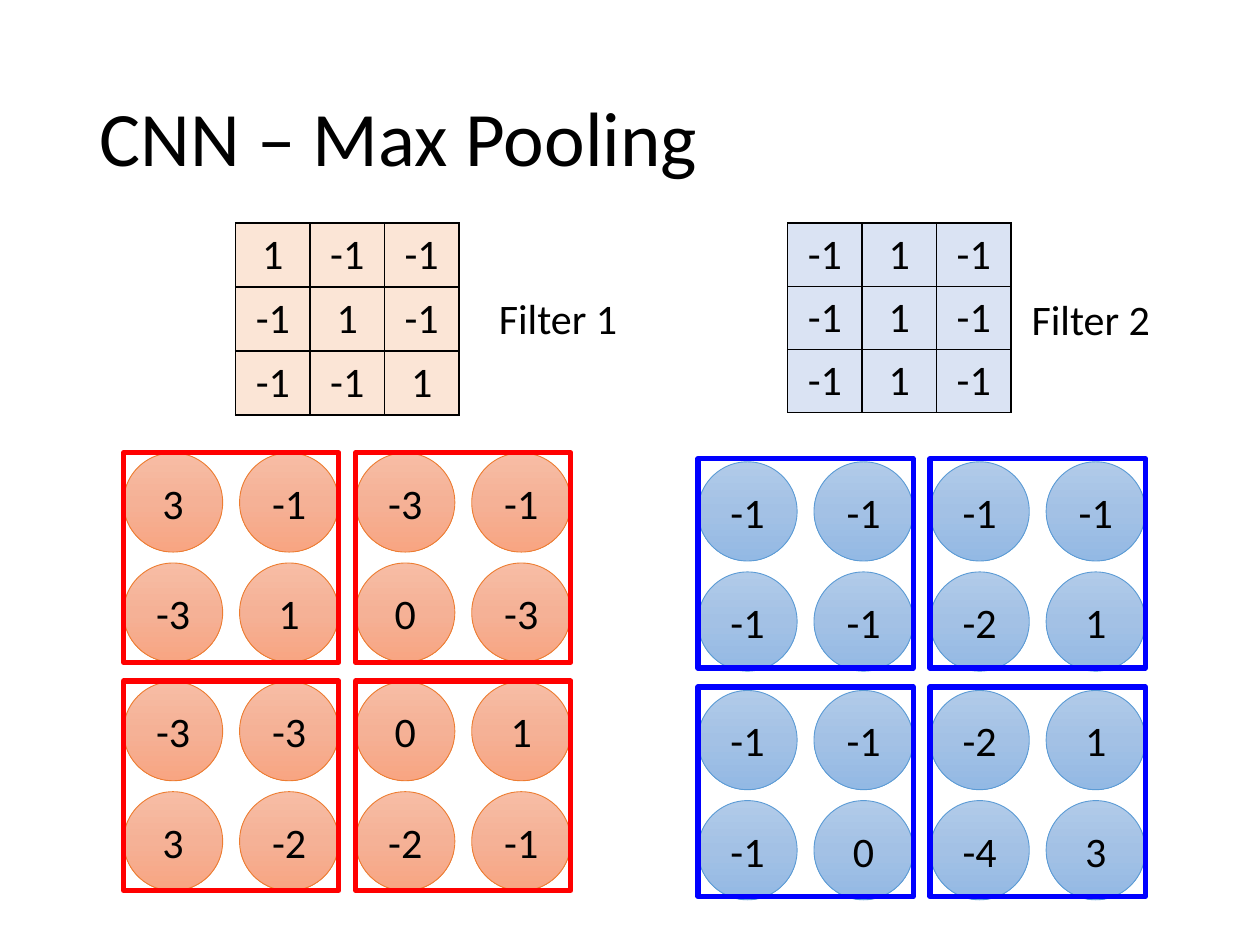
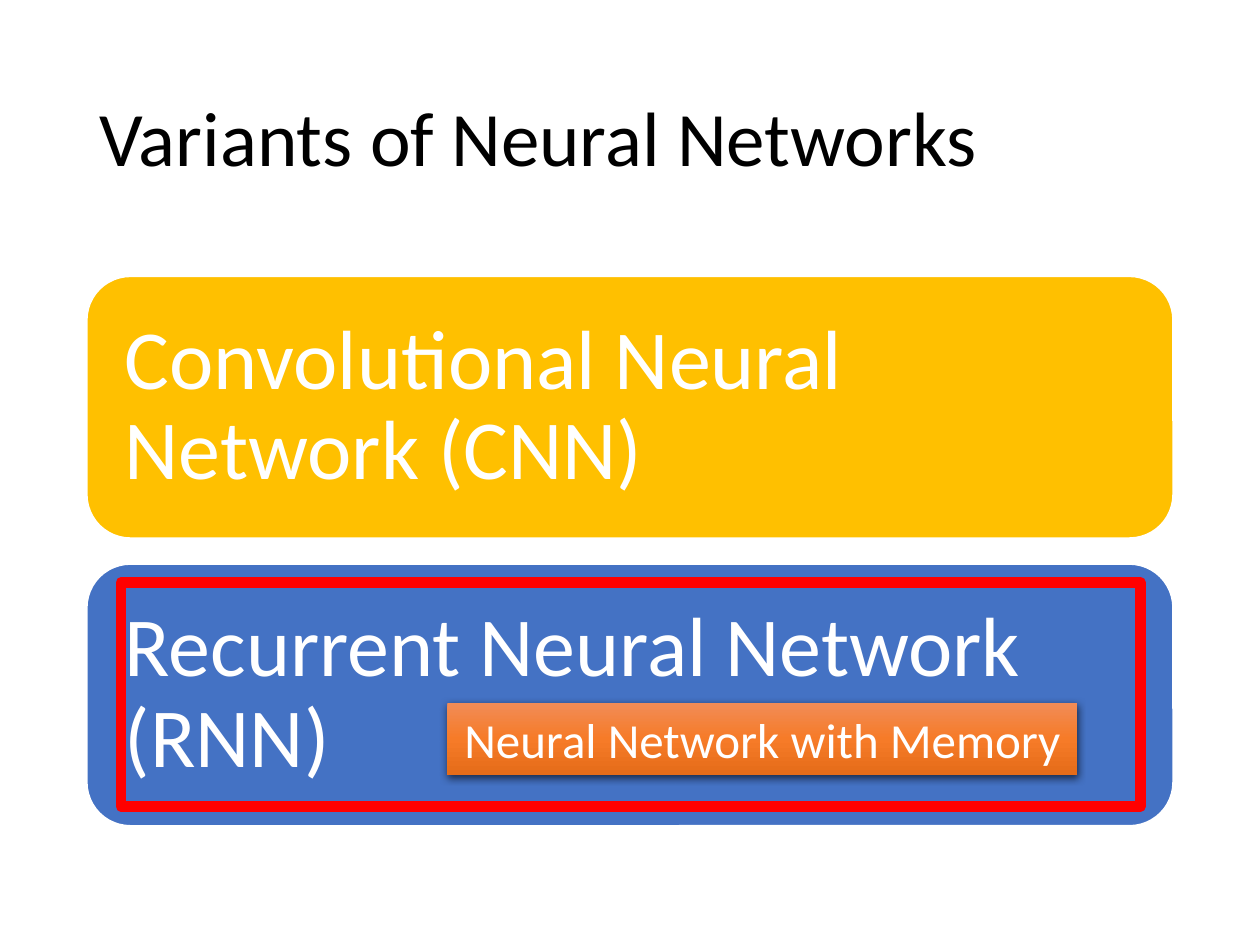
"""Build two slides: max pooling over two filters, and neural network variants."""
import pptx
import pptx.dml.color
import pptx.enum.shapes
import pptx.enum.text
import pptx.oxml.ns
import pptx.util
from lxml import etree

Cm, Pt = pptx.util.Cm, pptx.util.Pt
rgb = pptx.dml.color.RGBColor.from_string
qn = pptx.oxml.ns.qn
SHAPE = pptx.enum.shapes.MSO_SHAPE
ALIGN = pptx.enum.text.PP_ALIGN
MIDDLE = pptx.enum.text.MSO_ANCHOR.MIDDLE

BLACK, WHITE, RED, BLUE = "000000", "FFFFFF", "FF0000", "0000FF"
TITLE_BOX = [Cm(v) for v in (1.75, 1.02, 21.9, 3.68)]


def write(tf, text, size, color=BLACK, **paragraph):
    """Write one run of text and apply the paragraph format values."""
    p = tf.paragraphs[0]
    for name, value in paragraph.items():
        setattr(p, name, value)
    r = p.add_run()
    r.text = text
    for name, value in {"name": "Calibri", "size": Pt(size)}.items():
        setattr(r.font, name, value)
    r.font.color.rgb = rgb(color)


def add_box(s, kind, box, fill=None, line=None, width=1):
    """Add a shape; fill is None, a hex string or three gradient colours."""
    sp = s.shapes.add_shape(kind, *[Cm(v) for v in box])
    sp.shadow.inherit = False
    if fill is None:
        sp.fill.background()
    elif isinstance(fill, str):
        sp.fill.solid()
        sp.fill.fore_color.rgb = rgb(fill)
    else:
        sp.fill.gradient()
        sp.fill.gradient_angle = 270
        stops = sp.element.spPr.find(".//" + qn("a:gsLst"))
        stops[:] = []
        for i, color in enumerate(fill):
            stop = etree.SubElement(stops, qn("a:gs"), pos=str(i * 50000))
            etree.SubElement(stop, qn("a:srgbClr"), val=color)
    if line:
        sp.line.color.rgb = rgb(line)
        sp.line.width = Pt(width)
    else:
        sp.line.fill.background()
    return sp


prs = pptx.Presentation()
prs.slide_width, prs.slide_height = Cm(25.4), Cm(19.05)

slides = []
for title in ("CNN – Max Pooling", "Variants of Neural Networks"):
    s = prs.slides.add_slide(prs.slide_layouts[5])
    sp = s.shapes.title
    for name, value in zip(("left", "top", "width", "height"), TITLE_BOX):
        setattr(sp, name, value)
    sp.text_frame.vertical_anchor = MIDDLE
    write(sp.text_frame, title, 44, alignment=ALIGN.LEFT, line_spacing=0.9)
    slides.append(s)
pooling, variants = slides

filters = [
    {"label": "Filter 1", "label_at": (9.25, 5.77), "table_x": 4.75, "cell": "FBE5D6",
     "weights": [[1, -1, -1], [-1, 1, -1], [-1, -1, 1]],
     "map": [[3, -1, -3, -1], [-3, 1, 0, -3], [-3, -3, 0, 1], [3, -2, -2, -1]],
     "x": 2.49, "map_y": 9.13, "frame_y": 9.13, "frame": RED,
     "gradient": ["F7BDA5", "F5B196", "F8A582"], "outline": "ED7D31"},
    {"label": "Filter 2", "label_at": (19.99, 5.8), "table_x": 15.88, "cell": "DAE3F3",
     "weights": [[-1, 1, -1]] * 3,
     "map": [[-1, -1, -1, -1], [-1, -1, -2, 1], [-1, -1, -2, 1], [-1, 0, -4, 3]],
     "x": 14.07, "map_y": 9.31, "frame_y": 9.25, "frame": BLUE,
     "gradient": ["B1CBE9", "A3C1E5", "93B9E4"], "outline": "5B9BD5"},
]
for f in filters:
    table = pooling.shapes.add_table(
        3, 3, Cm(f["table_x"]), Cm(4.5), Cm(4.5), Cm(3.81)).table
    table.first_row = table.horz_banding = False
    for i, weights in enumerate(f["weights"]):
        for j, weight in enumerate(weights):
            cell = table.cell(i, j)
            write(cell.text_frame, str(weight), 24, alignment=ALIGN.CENTER)
            tc_pr = cell._tc.get_or_add_tcPr()
            for side in ("a:lnL", "a:lnR", "a:lnT", "a:lnB"):
                ln = etree.SubElement(tc_pr, qn(side), w="12700")
                solid = etree.SubElement(ln, qn("a:solidFill"))
                etree.SubElement(solid, qn("a:srgbClr"), val=BLACK)
            cell.fill.solid()
            cell.fill.fore_color.rgb = rgb(f["cell"])

    x, y = f["label_at"]
    sp = pooling.shapes.add_textbox(Cm(x), Cm(y), Cm(4), Cm(1.27))
    sp.text_frame.word_wrap = True
    write(sp.text_frame, f["label"], 24, alignment=ALIGN.CENTER)

    for i, values in enumerate(f["map"]):
        for j, value in enumerate(values):
            y = f["map_y"] + i // 2 * 4.61 + i % 2 * 2.22
            sp = add_box(pooling, SHAPE.OVAL, (f["x"] + j * 2.34, y, 2, 2),
                         f["gradient"], f["outline"], 0.5)
            sp.text_frame.vertical_anchor = MIDDLE
            write(sp.text_frame, str(value), 24, alignment=ALIGN.CENTER)
    for i in range(2):
        for j in range(2):
            add_box(pooling, SHAPE.RECTANGLE,
                    (f["x"] + j * 4.68, f["frame_y"] + i * 4.6, 4.34, 4.22),
                    line=f["frame"], width=3)

networks = [("Convolutional Neural Network (CNN)", "FFC000"),
            ("Recurrent Neural Network (RNN)", "4472C4")]
for i, (network, color) in enumerate(networks):
    sp = add_box(variants, SHAPE.ROUNDED_RECTANGLE,
                 (1.75, 5.57 + i * 5.8, 21.9, 5.28), color, WHITE)
    tf = sp.text_frame
    for side in ("left", "right", "top", "bottom"):
        setattr(tf, "margin_" + side, Cm(0.51))
    tf.vertical_anchor = MIDDLE
    write(tf, network, 48, WHITE, alignment=ALIGN.LEFT, line_spacing=0.9)

add_box(variants, SHAPE.RECTANGLE, (2.44, 11.74, 20.55, 4.52), line=RED, width=6)

sp = add_box(variants, SHAPE.RECTANGLE, (9.02, 14.17, 12.7, 1.45),
             ["F18C57", "F67B28", "E56C19"])
write(sp.text_frame, "Neural Network with Memory", 28, WHITE, alignment=ALIGN.CENTER)
effects = sp.element.spPr.find(qn("a:effectLst"))
shadow = etree.SubElement(effects, qn("a:outerShdw"), blurRad=str(Pt(4.5)),
                          dist=str(Pt(1.5)), dir="5400000", rotWithShape="0")
color = etree.SubElement(shadow, qn("a:srgbClr"), val=BLACK)
etree.SubElement(color, qn("a:alpha"), val="63000")

prs.save("out.pptx")
